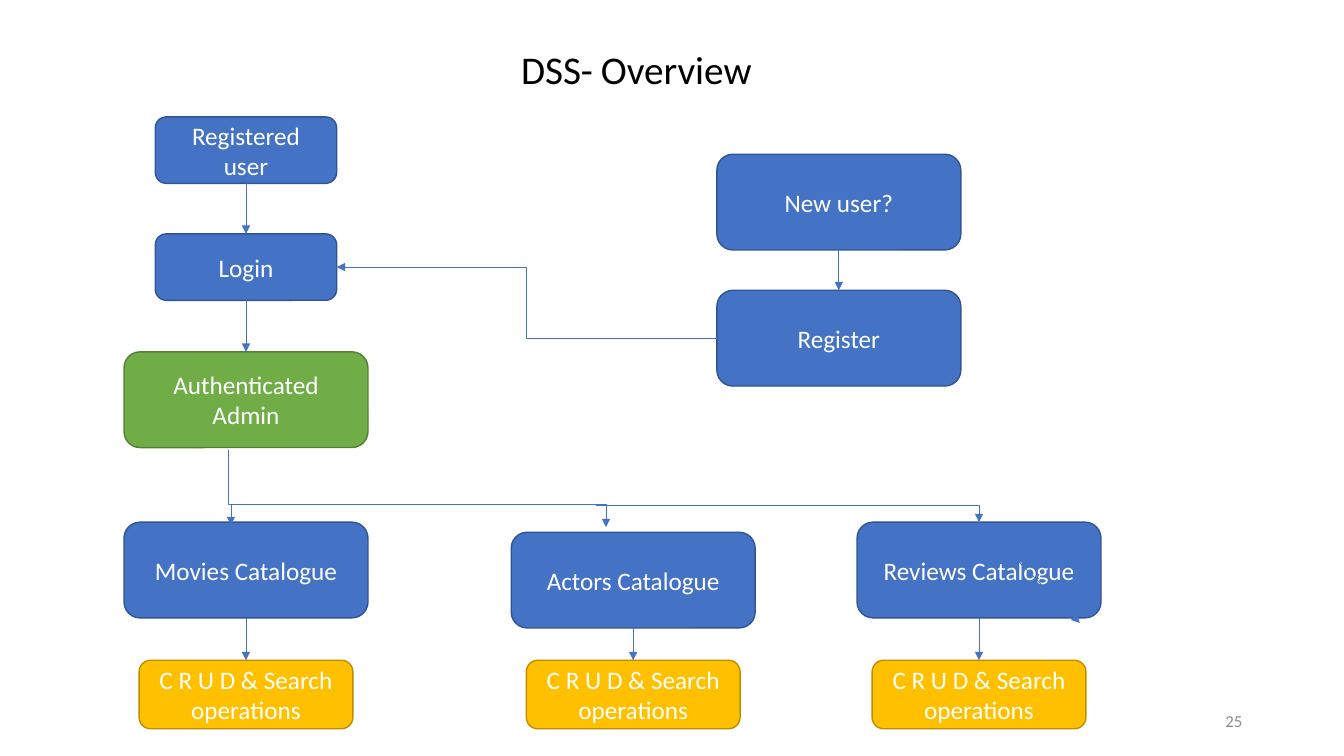
from lxml.etree import SubElement
from pptx import Presentation
from pptx.dml.color import RGBColor
from pptx.enum.shapes import MSO_CONNECTOR as Link, MSO_SHAPE as Preset
from pptx.enum.text import MSO_ANCHOR as Anchor, PP_ALIGN as Align
from pptx.oxml.ns import qn
from pptx.util import Inches, Pt

COLORS = {
    "blue": "4472C4", "blue_edge": "325491",
    "green": "70AD47", "green_edge": "538035",
    "gold": "FFC000", "gold_edge": "BD8E00",
    "white": "FFFFFF", "black": "000000", "gray": "8C8C8C",
}
TOP, LEFT, BOTTOM = 0, 1, 2
RIGHT = 3
LARGE, SMALL, OPERATION = (2.42, 0.95), (1.8, 0.66), (2.12, 0.68)


def color(name):
    return RGBColor.from_string(COLORS[name])


def apply_format(target, values):
    for attribute, value in values.items():
        setattr(target, attribute, value)


def write(paragraph, text, size, color_name):
    run = paragraph.add_run()
    run.text = text
    apply_format(run.font, {"name": "Calibri", "size": Pt(size)})
    run.font.color.rgb = color(color_name)


def add_label(slide, bounds, runs, color_name, align, anchor):
    frame = slide.shapes.add_textbox(*map(Inches, bounds)).text_frame
    apply_format(frame, {"word_wrap": True, "vertical_anchor": anchor})
    paragraph = frame.paragraphs[0]
    paragraph.alignment = align
    for text, size in runs:
        write(paragraph, text, size, color_name)


def add_step(slide, text, center, top, size, fill="blue"):
    width, height = size
    step = slide.shapes.add_shape(
        Preset.ROUNDED_RECTANGLE,
        *map(Inches, (center - width / 2, top, width, height)))
    step.shadow.inherit = False
    step.fill.solid()
    step.fill.fore_color.rgb = color(fill)
    step.line.color.rgb = color(fill + "_edge")
    step.line.width = Pt(1)
    apply_format(step.text_frame,
                 {"word_wrap": True, "vertical_anchor": Anchor.MIDDLE})
    paragraph = step.text_frame.paragraphs[0]
    paragraph.alignment = Align.CENTER
    write(paragraph, text, 18, "white")
    return step


def add_arrow(slide, start=(0, 0), end=(0, 0), kind=Link.STRAIGHT):
    arrow = slide.shapes.add_connector(kind, *map(Inches, (*start, *end)))
    arrow.line.color.rgb = color("blue")
    arrow.line.width = Pt(0.5)
    properties = arrow._element.spPr
    SubElement(properties.find(qn("a:ln")), qn("a:tailEnd"), type="triangle")
    SubElement(properties, qn("a:effectLst"))
    return arrow


def join(slide, source, source_side, target, target_side, kind=Link.STRAIGHT):
    arrow = add_arrow(slide, kind=kind)
    arrow.begin_connect(source, source_side)
    arrow.end_connect(target, target_side)


def add_drop_elbow(slide, start, end, bend):
    across, down = end[0] - start[0], end[1] - start[1]
    middle_x, middle_y = start[0] + across / 2, start[1] + down / 2
    arrow = add_arrow(slide,
                      (middle_x + down / 2, middle_y - across / 2),
                      (middle_x - down / 2, middle_y + across / 2), Link.ELBOW)
    properties = arrow._element.spPr
    properties.find(qn("a:xfrm")).set("rot", str(270 * 60000))
    geometry = properties.find(qn("a:prstGeom"))
    adjustments = geometry.find(qn("a:avLst"))
    if adjustments is None:
        adjustments = SubElement(geometry, qn("a:avLst"))
    SubElement(adjustments, qn("a:gd"), name="adj1",
               fmla=f"val {round(bend * 100000)}")


def add_corner(slide, start, target):
    arrow = add_arrow(slide, start, (9.71, 5.18), Link.ELBOW)
    arrow.end_connect(target, TOP)
    arrow._element.spPr.find(qn("a:prstGeom")).set("prst", "bentConnector2")


def add_catalogue(slide, name, center, top):
    catalogue = add_step(slide, f"{name} Catalogue", center, top, LARGE)
    operations = add_step(slide, "C R U D & Search operations",
                          center, 6.55, OPERATION, "gold")
    join(slide, catalogue, BOTTOM, operations, TOP)
    return catalogue


def main():
    deck = Presentation()
    apply_format(deck, {"slide_width": Inches(13.33),
                        "slide_height": Inches(7.5)})
    slide = deck.slides.add_slide(deck.slide_layouts[6])

    add_label(slide, (5.07, 0.4, 6.21, 0.57),
              [("DSS-", 28), (" ", 25), ("Overview", 28)],
              "black", Align.LEFT, Anchor.TOP)
    add_label(slide, (9.42, 6.95, 3, 0.4), [("25", 12)],
              "gray", Align.RIGHT, Anchor.MIDDLE)

    registered = add_step(slide, "Registered user", 2.44, 1.16, SMALL)
    login = add_step(slide, "Login", 2.44, 2.32, SMALL)
    admin = add_step(slide, "Authenticated Admin", 2.44, 3.49, LARGE, "green")
    new_user = add_step(slide, "New user?", 8.32, 1.53, LARGE)
    register = add_step(slide, "Register", 8.32, 2.88, LARGE)
    for source, target in ((registered, login), (login, admin),
                           (new_user, register)):
        join(slide, source, BOTTOM, target, TOP)
    join(slide, register, LEFT, login, RIGHT, Link.ELBOW)

    add_catalogue(slide, "Movies", 2.44, 5.18)
    add_catalogue(slide, "Actors", 6.28, 5.28)
    reviews = add_catalogue(slide, "Reviews", 9.71, 5.18)

    add_arrow(slide, (9.71, 5.18), (10.71, 6.18))
    add_drop_elbow(slide, (2.26, 4.46), (6.01, 5.23), 0.709)
    add_corner(slide, (5.91, 5.01), reviews)
    add_arrow(slide, (2.29, 5.01), (2.29, 5.21))

    deck.save("out.pptx")


if __name__ == "__main__":
    main()
